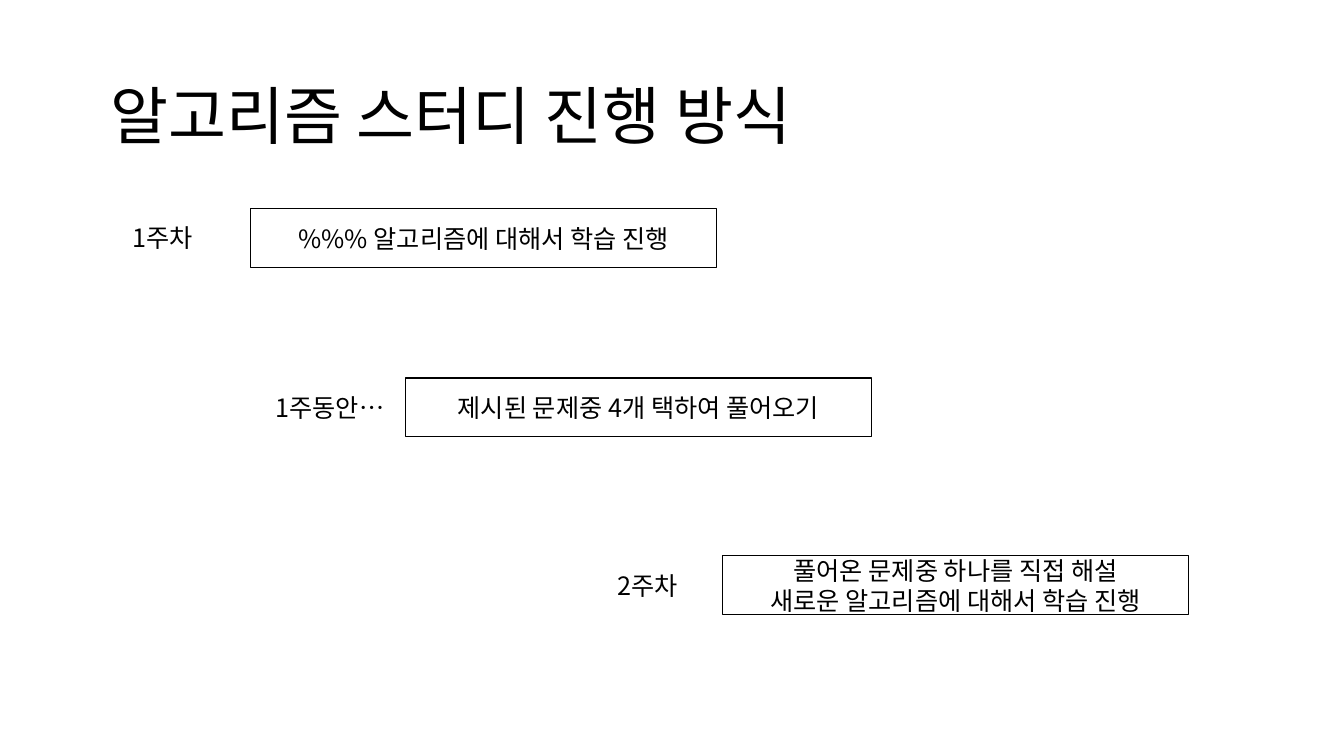
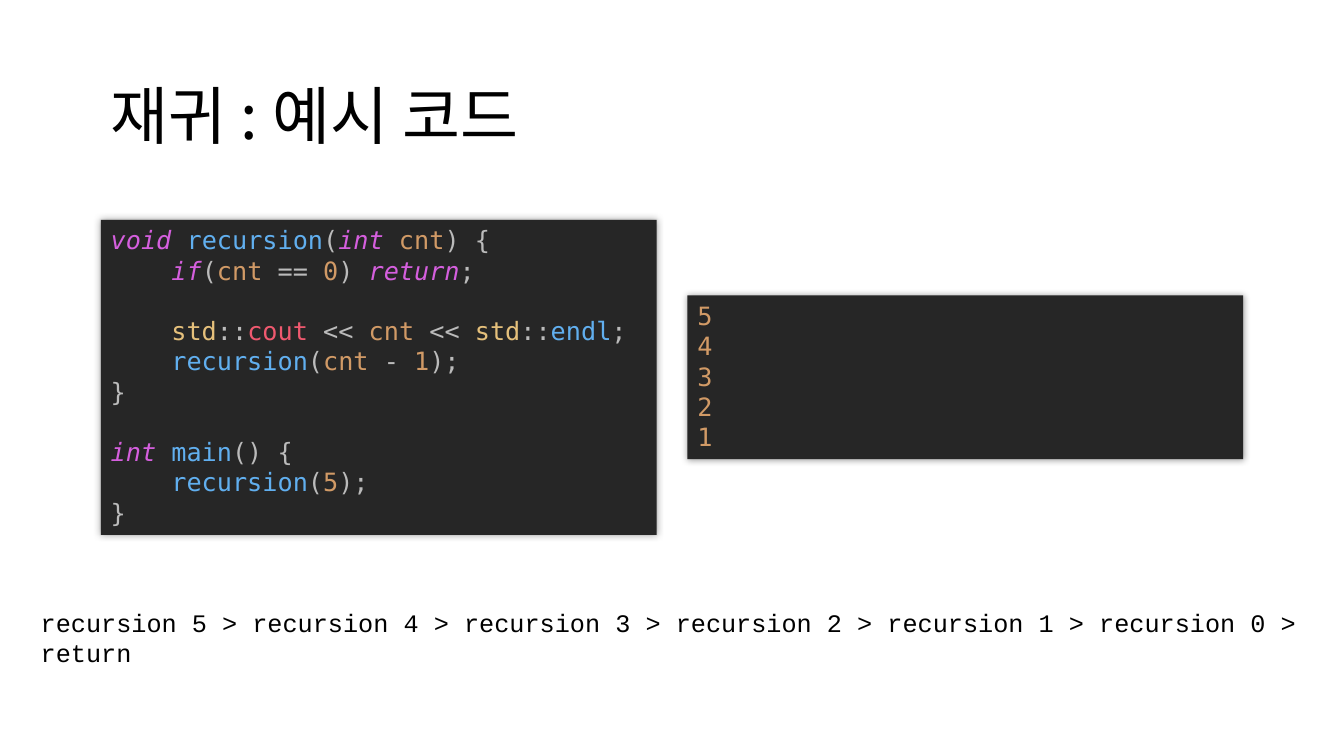
from pptx import Presentation
from pptx.dml.color import RGBColor
from pptx.enum.shapes import MSO_SHAPE as Shape
from pptx.enum.text import MSO_ANCHOR as Anchor, MSO_AUTO_SIZE as AutoSize, PP_ALIGN as Align
from pptx.oxml import parse_xml
from pptx.oxml.ns import nsdecls, qn
from pptx.util import Pt

# Shared style
BODY_FONT = "Noto Sans CJK KR"
CODE_FONT = "DejaVu Sans Mono"
TRACE_FONT = "Courier New"
BLACK = "000000"
CODE_BACKGROUND = "262626"
TITLE_BOX = (72, 49, 815, 62)
TITLE_ONLY = 5

TOKEN_COLORS = {
    "keyword": "D55FDE", "function": "61AFEF", "plain": "BBBBBB",
    "value": "D19A66", "namespace": "E5C07B", "stream": "EF596F",
}

# Slide content: label left, label width, box left, box top, lines
STEPS = [
    (72, 88.5, 179, 149, ["%%% 알고리즘에 대해서 학습 진행"], "1주차"),
    (182, 107.5, 289.5, 270, ["제시된 문제중 4개 택하여 풀어오기"], "1주동안…"),
    (409, 107, 516, 397,
     ["풀어온 문제중 하나를 직접 해설", "새로운 알고리즘에 대해서 학습 진행"], "2주차"),
]

CODE = [
    [("keyword", "void "), ("function", "recursion"), ("plain", "("),
     ("keyword", "int "), ("value", "cnt"), ("plain", ") {")],
    [("plain", "    "), ("keyword", "if"), ("plain", "("), ("value", "cnt "),
     ("plain", "== "), ("value", "0"), ("plain", ") "), ("keyword", "return"),
     ("plain", ";")],
    [],
    [("plain", "    "), ("namespace", "std"), ("plain", "::"), ("stream", "cout "),
     ("plain", "<< "), ("value", "cnt "), ("plain", "<< "), ("namespace", "std"),
     ("plain", "::"), ("function", "endl"), ("plain", ";")],
    [("plain", "    "), ("function", "recursion"), ("plain", "("), ("value", "cnt "),
     ("plain", "- "), ("value", "1"), ("plain", ");")],
    [("plain", "}")],
    [],
    [("keyword", "int "), ("function", "main"), ("plain", "() {")],
    [("plain", "    "), ("function", "recursion"), ("plain", "("), ("value", "5"),
     ("plain", ");")],
    [("plain", "}")],
]
OUTPUT = [[("value", str(count))] for count in range(5, 0, -1)]
TRACE = " > ".join([f"recursion {count}" for count in range(5, -1, -1)] + ["return"])


def color(value):
    return RGBColor.from_string(value)


def points(box):
    return [Pt(length) for length in box]


def format_paragraph(paragraph, font_name=BODY_FONT, size=18, spacing=21.6,
                     align=Align.LEFT):
    paragraph.alignment = align
    paragraph.line_spacing = Pt(spacing)
    font = paragraph.font
    font.name = font_name
    font.size = Pt(size)
    font.color.rgb = color(BLACK)
    # Hangul uses the East Asian typeface
    properties = paragraph._p.pPr.find(qn("a:defRPr"))
    properties.append(parse_xml(f'<a:ea {nsdecls("a")} typeface="{font_name}"/>'))


def write_lines(frame, lines, **style):
    for index, line in enumerate(lines):
        paragraph = frame.paragraphs[0] if index == 0 else frame.add_paragraph()
        paragraph.text = line
        format_paragraph(paragraph, **style)


def add_text(slide, box, text, **style):
    frame = slide.shapes.add_textbox(*points(box)).text_frame
    frame.word_wrap = True
    write_lines(frame, [text], **style)


def add_rectangle(slide, box):
    shape = slide.shapes.add_shape(Shape.RECTANGLE, *points(box))
    shape.shadow.inherit = False
    return shape


def add_titled_slide(presentation, text):
    slide = presentation.slides.add_slide(presentation.slide_layouts[TITLE_ONLY])
    title = slide.shapes.title
    title.left, title.top, title.width, title.height = points(TITLE_BOX)
    frame = title.text_frame
    frame.auto_size = AutoSize.NONE
    frame.vertical_anchor = Anchor.MIDDLE
    write_lines(frame, [text], size=45, spacing=58)
    return slide


def add_step(slide, label_left, label_width, left, top, lines, label):
    height, label_height = 42, 29
    shape = add_rectangle(slide, (left, top, 333, height))
    shape.fill.background()
    shape.line.color.rgb = color(BLACK)
    shape.line.width = Pt(1)
    shape.text_frame.vertical_anchor = Anchor.MIDDLE
    write_lines(shape.text_frame, lines, align=Align.CENTER)
    label_top = top + (height - label_height) / 2
    add_text(slide, (label_left, label_top, label_width, label_height), label,
             align=Align.CENTER)


def add_code_panel(slide, box, code_lines):
    shape = add_rectangle(slide, box)
    shape.fill.solid()
    shape.fill.fore_color.rgb = color(CODE_BACKGROUND)
    shape.line.fill.background()
    # Soft shadow all around
    effects = shape._element.spPr.find(qn("a:effectLst"))
    effects.append(parse_xml(
        f'<a:outerShdw {nsdecls("a")} blurRad="{Pt(5)}" dist="0" dir="0" algn="ctr" '
        f'rotWithShape="0"><a:srgbClr val="{BLACK}"><a:alpha val="40000"/>'
        '</a:srgbClr></a:outerShdw>'))
    frame = shape.text_frame
    frame.vertical_anchor = Anchor.TOP
    paragraph = frame.paragraphs[0]
    format_paragraph(paragraph, CODE_FONT)
    for index, tokens in enumerate(code_lines):
        if index:
            paragraph.add_line_break()
        for kind, text in tokens:
            run = paragraph.add_run()
            run.text = text
            run.font.color.rgb = color(TOKEN_COLORS[kind])
            run.font.italic = kind == "keyword"


def build_process_slide(presentation):
    slide = add_titled_slide(presentation, "알고리즘 스터디 진행 방식")
    for step in STEPS:
        add_step(slide, *step)


def build_code_slide(presentation):
    slide = add_titled_slide(presentation, "재귀 : 예시 코드")
    # Panels share a vertical centre
    left, width, gap, middle = 72, 397, 22, 269.5
    for code_lines, height in ((CODE, 225), (OUTPUT, 117)):
        add_code_panel(slide, (left, middle - height / 2, width, height), code_lines)
        left += width + gap
    # Call trace
    add_text(slide, (22, 430, 916, 29), TRACE, font_name=TRACE_FONT)


def main():
    presentation = Presentation()
    presentation.slide_width = Pt(960)
    presentation.slide_height = Pt(540)
    build_process_slide(presentation)
    build_code_slide(presentation)
    presentation.save("out.pptx")


if __name__ == "__main__":
    main()
